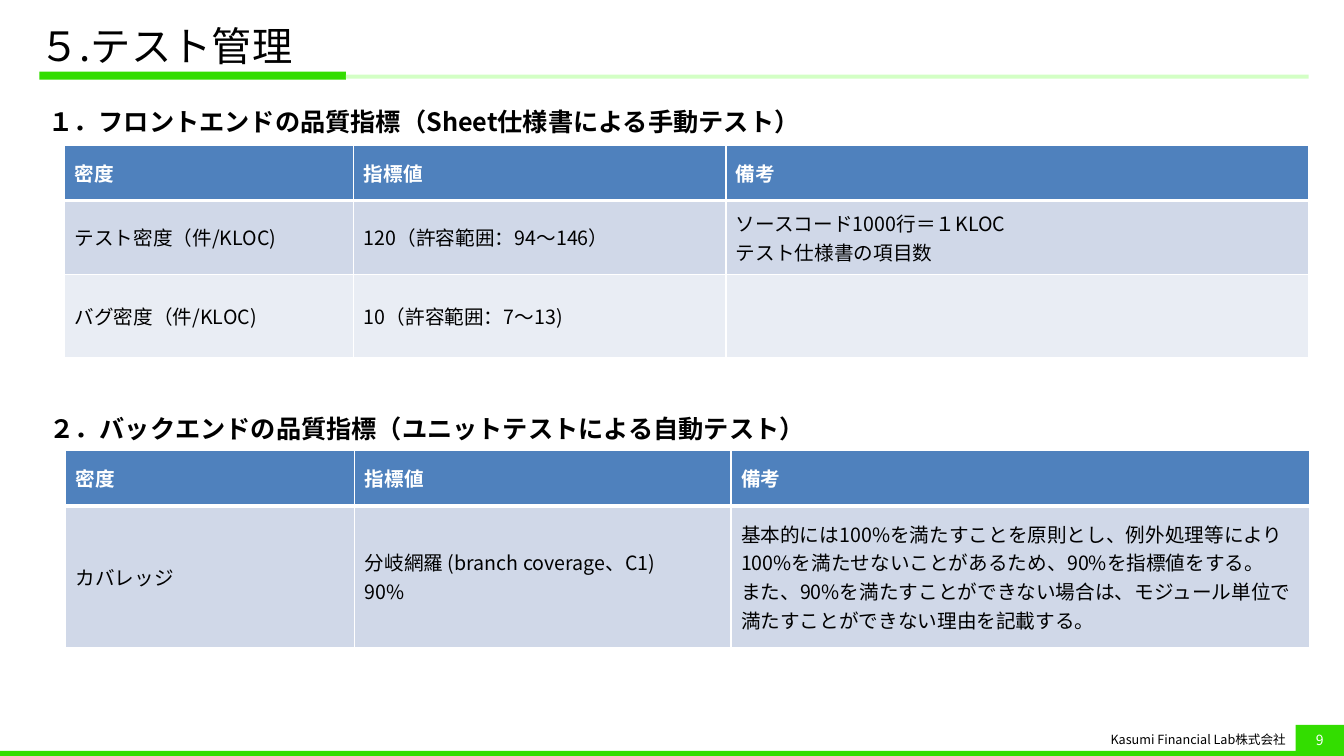
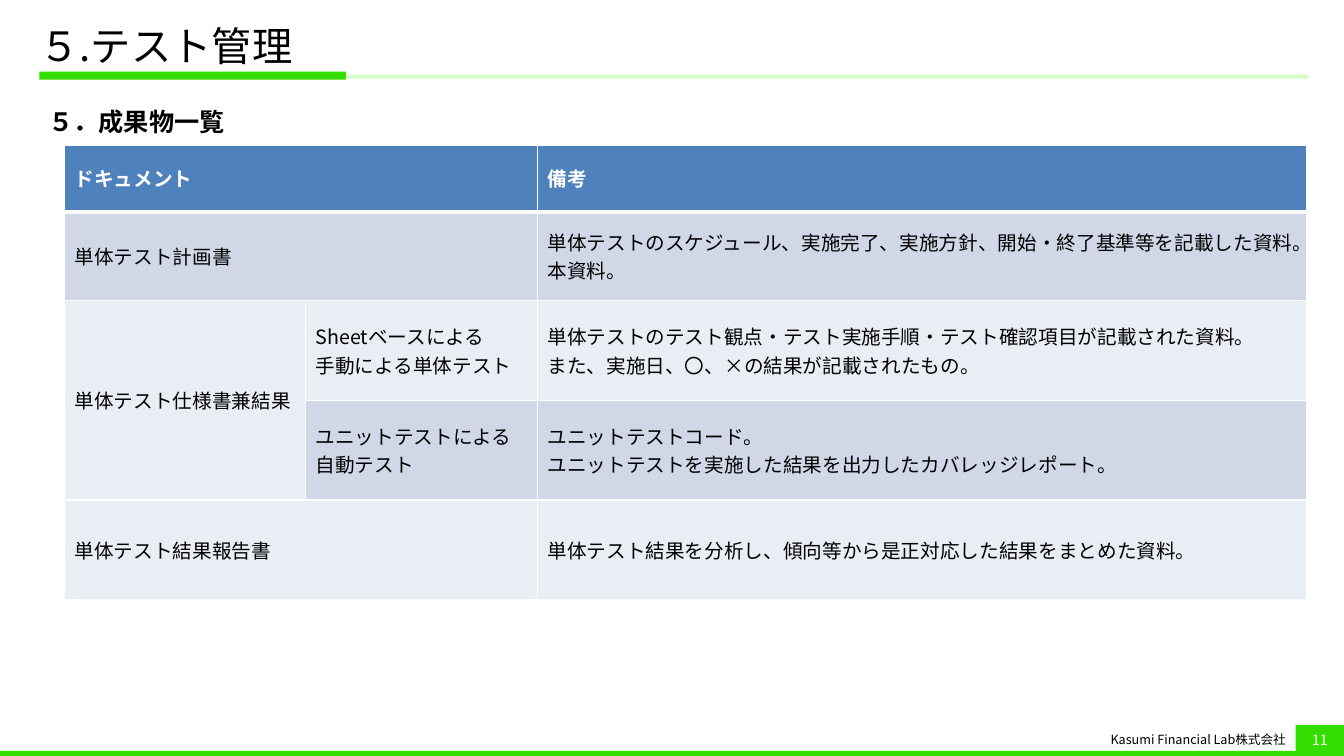
from dataclasses import dataclass
from itertools import takewhile

from lxml.etree import SubElement
from pptx import Presentation
from pptx.dml.color import RGBColor
from pptx.enum.shapes import MSO_SHAPE as Shape
from pptx.enum.text import MSO_ANCHOR as Anchor, PP_ALIGN as Align
from pptx.oxml.ns import qn
from pptx.util import Inches, Pt


@dataclass(frozen=True)
class Theme:
    font: str = "Noto Sans CJK JP"
    green: str = "33DD00"
    pale_green: str = "D3FFC5"
    header: str = "4F81BD"
    bands: tuple = ("D0D8E8", "E9EDF4")
    black: str = "000000"
    white: str = "FFFFFF"
    title_size: float = 28.8
    heading_size: float = 18
    table_size: float = 14
    number_size: float = 10
    footer_size: float = 9
    rule: float = 1
    header_rule: float = 3


THEME = Theme()
WIDTH, HEIGHT = 13.33, 7.5
MARGIN, CONTENT_WIDTH = 0.39, 12.59
LEFT, UP = "←", "↑"

TITLE = "５.テスト管理"
COMPANY = "Kasumi Financial Lab株式会社"
SLIDES = [
    {
        "number": "9",
        "sections": [
            {
                "heading": "１．フロントエンドの品質指標（Sheet仕様書による手動テスト）",
                "heading_at": (0.38, 0.92),
                "table_at": (0.64, 1.44),
                "columns": (2.87, 3.69, 5.78),
                "heights": (0.55, 0.73, 0.83),
                "rows": [
                    ("密度", "指標値", "備考"),
                    ("テスト密度（件/KLOC)", "120（許容範囲：94～146）",
                     "ソースコード1000行＝１KLOC\nテスト仕様書の項目数"),
                    ("バグ密度（件/KLOC)", "10（許容範囲：7～13)", ""),
                ],
            },
            {
                "heading": "２．バックエンドの品質指標（ユニットテストによる自動テスト）",
                "heading_at": (0.39, 3.96),
                "table_at": (0.65, 4.47),
                "columns": (2.87, 3.73, 5.74),
                "heights": (0.55, 1.4),
                "rows": [
                    ("密度", "指標値", "備考"),
                    ("カバレッジ", "分岐網羅 (branch coverage、C1)\n90%",
                     "基本的には100%を満たすことを原則とし、例外処理等により"
                     "100%を満たせないことがあるため、90%を指標値をする。\n"
                     "また、90%を満たすことができない場合は、"
                     "モジュール単位で満たすことができない理由を記載する。"),
                ],
            },
        ],
    },
    {
        "number": "11",
        "sections": [
            {
                "heading": "５．成果物一覧",
                "heading_at": (0.38, 0.92),
                "table_at": (0.64, 1.44),
                "columns": (2.39, 2.3, 7.63),
                "heights": (0.66, 0.88, 0.99, 0.99, 0.99),
                "rows": [
                    ("ドキュメント", LEFT, "備考"),
                    ("単体テスト計画書", LEFT,
                     "単体テストのスケジュール、実施完了、実施方針、"
                     "開始・終了基準等を記載した資料。\n本資料。"),
                    ("単体テスト仕様書兼結果", "Sheetベースによる\n手動による単体テスト",
                     "単体テストのテスト観点・テスト実施手順・"
                     "テスト確認項目が記載された資料。\n"
                     "また、実施日、〇、×の結果が記載されたもの。"),
                    (UP, "ユニットテストによる\n自動テスト",
                     "ユニットテストコード。\n"
                     "ユニットテストを実施した結果を出力したカバレッジレポート。"),
                    ("単体テスト結果報告書", LEFT,
                     "単体テスト結果を分析し、傾向等から是正対応した結果をまとめた資料。"),
                ],
            },
        ],
    },
]


def color(value):
    return RGBColor.from_string(value)


def write(frame, text, size, ink=THEME.black, bold=False, align=Align.LEFT):
    for index, line in enumerate(text.split("\n")):
        paragraph = frame.add_paragraph() if index else frame.paragraphs[0]
        paragraph.alignment = align
        if line:
            run = paragraph.add_run()
            run.text = line
            font = run.font
            font.name, font.size, font.bold = THEME.font, Pt(size), bold
            font.color.rgb = color(ink)
            SubElement(run._r.get_or_add_rPr(), qn("a:ea"), typeface=THEME.font)


def add_text(slide, box, text, size, anchor=Anchor.TOP, **style):
    frame = slide.shapes.add_textbox(*map(Inches, box)).text_frame
    frame.word_wrap = True
    frame.vertical_anchor = anchor
    write(frame, text, size, **style)
    return frame


def add_band(slide, box, fill):
    shape = slide.shapes.add_shape(Shape.RECTANGLE, *map(Inches, box))
    shape.shadow.inherit = False
    shape.fill.solid()
    shape.fill.fore_color.rgb = color(fill)
    shape.line.fill.background()
    return shape


def add_frame(slide, number):
    accent, badge_width, badge_height = 3.04, 0.48, 0.31
    add_band(slide, (MARGIN, 0.71, accent, 0.08), THEME.green)
    add_band(slide, (MARGIN + accent, 0.74, CONTENT_WIDTH - accent, 0.04), THEME.pale_green)
    add_band(slide, (0, HEIGHT - 0.05, WIDTH, 0.05), THEME.green)
    title = add_text(slide, (MARGIN, 0.2, CONTENT_WIDTH, 0.56), TITLE,
                     THEME.title_size, Anchor.MIDDLE)
    title.margin_left, title.margin_right = 0, Inches(0.16)
    title.paragraphs[0].line_spacing = 0.9
    add_text(slide, (10.86, 7.2, 1.99, 0.27), COMPANY, THEME.footer_size,
             Anchor.MIDDLE, align=Align.RIGHT)
    badge = add_band(slide, (WIDTH - badge_width, HEIGHT - badge_height,
                             badge_width, badge_height), THEME.green)
    badge.text_frame.vertical_anchor = Anchor.MIDDLE
    write(badge.text_frame, number, THEME.number_size, THEME.white, align=Align.CENTER)


def add_borders(cell, bottom):
    properties = cell._tc.get_or_add_tcPr()
    for side in "LRTB":
        width = bottom if side == "B" else THEME.rule
        line = SubElement(properties, qn(f"a:ln{side}"), w=str(Pt(width)))
        fill = SubElement(line, qn("a:solidFill"))
        SubElement(fill, qn("a:srgbClr"), val=THEME.white)


def merge_covered(table, rows):
    for r, row in enumerate(rows):
        for c, text in enumerate(row):
            if text in (LEFT, UP):
                continue
            across = len(list(takewhile(lambda mark: mark == LEFT, row[c + 1:])))
            below = (other[c] for other in rows[r + 1:])
            down = len(list(takewhile(lambda mark: mark == UP, below)))
            if across or down:
                table.cell(r, c).merge(table.cell(r + down, c + across))


def add_grid(slide, section):
    rows, columns, heights = (section[key] for key in ("rows", "columns", "heights"))
    box = (*section["table_at"], sum(columns), sum(heights))
    table = slide.shapes.add_table(len(rows), len(columns), *map(Inches, box)).table
    for column, width in zip(table.columns, columns):
        column.width = Inches(width)
    for row, height in zip(table.rows, heights):
        row.height = Inches(height)
    for r, row in enumerate(rows):
        is_header = r == 0
        for c, text in enumerate(row):
            cell = table.cell(r, c)
            add_borders(cell, THEME.header_rule if is_header else THEME.rule)
            cell.fill.solid()
            cell.fill.fore_color.rgb = color(
                THEME.header if is_header else THEME.bands[(r - 1) % 2])
            cell.vertical_anchor = Anchor.MIDDLE
            if text not in (LEFT, UP):
                write(cell.text_frame, text, THEME.table_size,
                      THEME.white if is_header else THEME.black, is_header)
    merge_covered(table, rows)


def add_section(slide, section):
    heading = add_text(slide, (*section["heading_at"], 12.6, 0.5), section["heading"],
                       THEME.heading_size, bold=True)
    paragraph = heading.paragraphs[0]
    paragraph.line_spacing, paragraph.space_before = Pt(28), Pt(10)
    add_grid(slide, section)


def main():
    """Build the test management slides."""
    presentation = Presentation()
    presentation.slide_width, presentation.slide_height = Inches(WIDTH), Inches(HEIGHT)
    for content in SLIDES:
        slide = presentation.slides.add_slide(presentation.slide_layouts[6])
        add_frame(slide, content["number"])
        for section in content["sections"]:
            add_section(slide, section)
    presentation.save("out.pptx")


if __name__ == "__main__":
    main()
